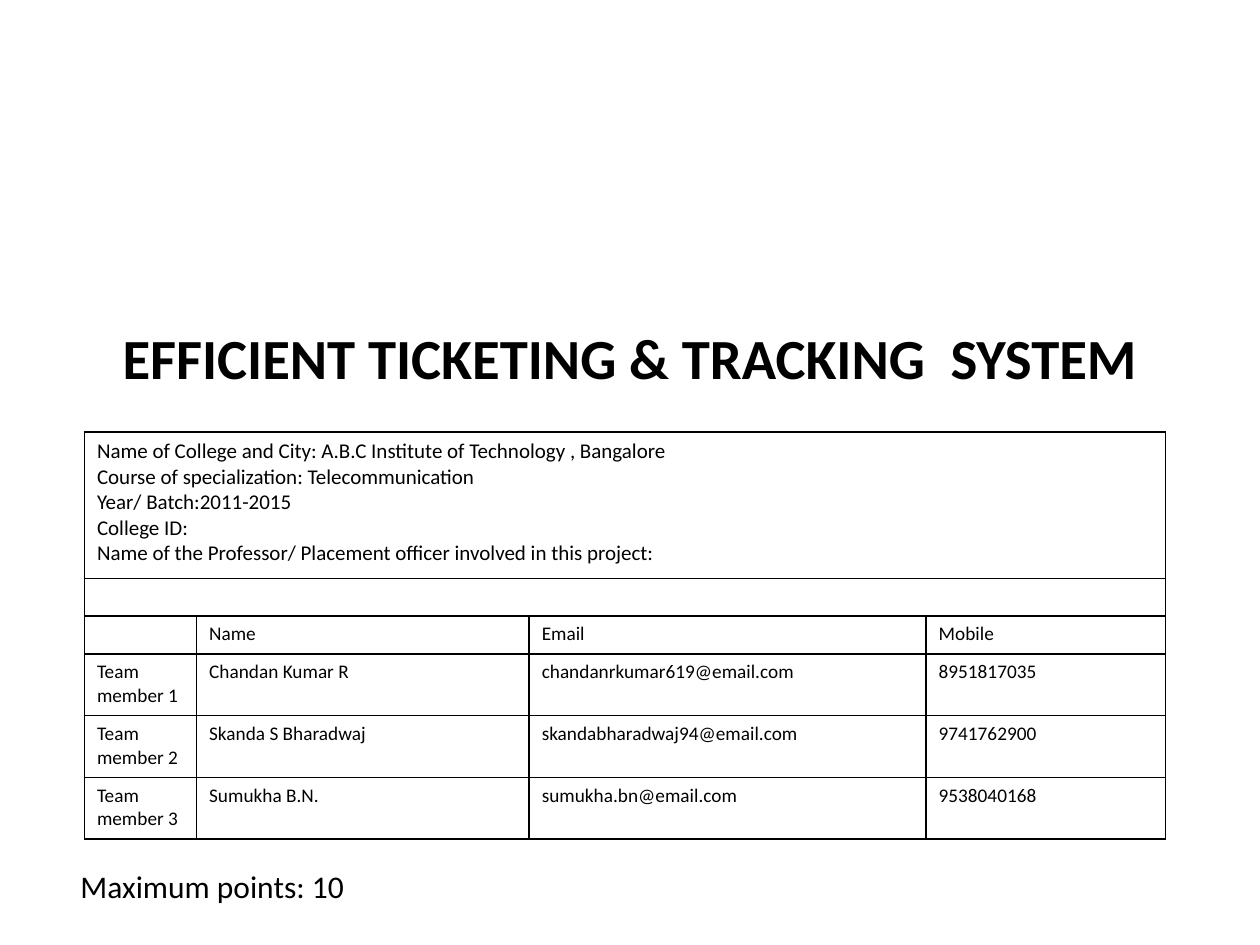
"""Build the title slide of a ticketing project with its team table."""
from lxml.etree import SubElement
from pptx import Presentation
from pptx.dml.color import RGBColor
from pptx.enum.text import MSO_ANCHOR, MSO_AUTO_SIZE, PP_ALIGN
from pptx.oxml.ns import qn
from pptx.util import Inches, Pt

BLACK = RGBColor(0x00, 0x00, 0x00)
FONT = "Calibri"

COLLEGE_DETAILS = [
    "Name of College and City: A.B.C Institute of Technology , Bangalore",
    "Course of specialization: Telecommunication",
    "Year/ Batch:2011-2015",
    "College ID:",
    "Name of the Professor/ Placement officer involved in this project:",
]
TEAM_ROWS = [
    ["\n".join(COLLEGE_DETAILS), "", "", ""],
    ["", "", "", ""],
    ["", "Name", "Email", "Mobile"],
    ["Team member 1", "Chandan Kumar R", "chandanrkumar619@email.com", "8951817035"],
    ["Team member 2", "Skanda S Bharadwaj", "skandabharadwaj94@email.com", "9741762900"],
    ["Team member 3", "Sumukha B.N.", "sumukha.bn@email.com", "9538040168"],
]
COLUMN_WIDTHS = [0.89, 2.64, 3.15, 1.9]
ROW_HEIGHTS = [1.16, 0.3, 0.3, 0.49, 0.49, 0.49]


def style_text(frame, size, bold=False):
    for paragraph in frame.paragraphs:
        paragraph.font.name = FONT
        paragraph.font.size = Pt(size)
        paragraph.font.bold = bold
        paragraph.font.color.rgb = BLACK


def add_borders(cell):
    properties = cell._tc.get_or_add_tcPr()
    for side in ("a:lnL", "a:lnR", "a:lnT", "a:lnB"):
        line = SubElement(properties, qn(side), w=str(Pt(1)))
        fill = SubElement(line, qn("a:solidFill"))
        SubElement(fill, qn("a:srgbClr"), val=str(BLACK))


prs = Presentation()
prs.slide_width = Inches(10)
prs.slide_height = Inches(7.5)
slide = prs.slides.add_slide(prs.slide_layouts[6])

title = slide.shapes.add_textbox(
    Inches(0.75), Inches(2.33), Inches(8.5), Inches(1)
).text_frame
title.word_wrap = True
title.vertical_anchor = MSO_ANCHOR.MIDDLE
title.text = "EFFICIENT TICKETING & TRACKING  SYSTEM"
title.paragraphs[0].alignment = PP_ALIGN.CENTER
style_text(title, 32.4, bold=True)

team = slide.shapes.add_table(
    len(ROW_HEIGHTS), len(COLUMN_WIDTHS), Inches(0.67), Inches(3.43),
    Inches(sum(COLUMN_WIDTHS)), Inches(sum(ROW_HEIGHTS)),
).table
team.first_row = False
team.horz_banding = False
for column, width in zip(team.columns, COLUMN_WIDTHS):
    column.width = Inches(width)
for row, height in zip(team.rows, ROW_HEIGHTS):
    row.height = Inches(height)

for row_index, entries in enumerate(TEAM_ROWS):
    for column_index, entry in enumerate(entries):
        cell = team.cell(row_index, column_index)
        add_borders(cell)
        cell.fill.background()
        cell.text = entry
        style_text(cell.text_frame, 12 if row_index == 0 else 11)
        if not entry:
            SubElement(cell.text_frame.paragraphs[0]._p, qn("a:endParaRPr"), sz="1100")

for row_index in (0, 1):
    team.cell(row_index, 0).merge(team.cell(row_index, len(COLUMN_WIDTHS) - 1))

points = slide.shapes.add_textbox(
    Inches(0.54), Inches(6.83), Inches(2.37), Inches(0.4)
).text_frame
points.word_wrap = False
points.auto_size = MSO_AUTO_SIZE.SHAPE_TO_FIT_TEXT
points.text = "Maximum points: 10"
style_text(points, 18)

prs.save("out.pptx")
